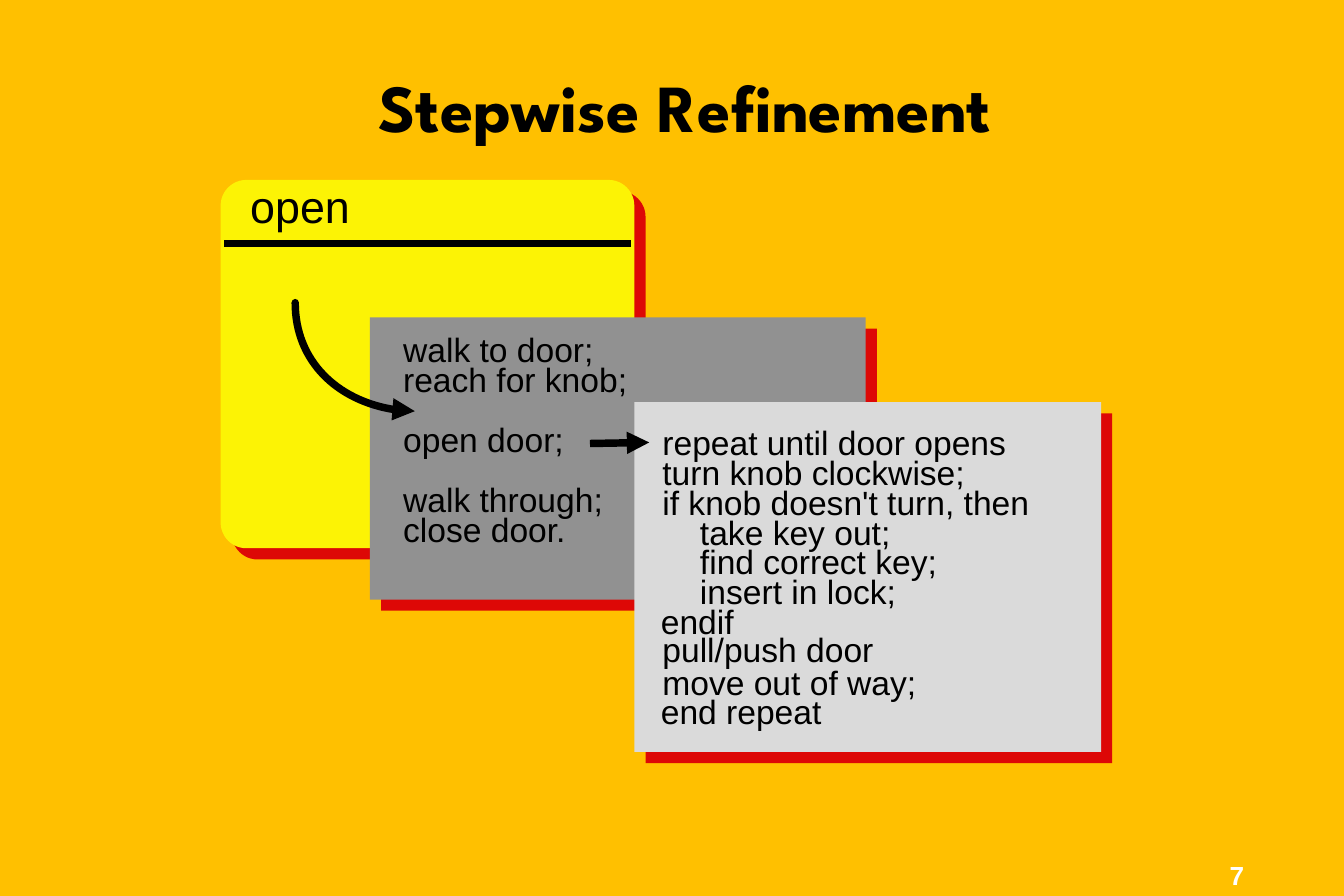
from lxml.etree import SubElement
from pptx import Presentation
from pptx.dml.color import RGBColor
from pptx.enum.shapes import MSO_CONNECTOR, MSO_SHAPE
from pptx.enum.text import MSO_ANCHOR, MSO_AUTO_SIZE, PP_ALIGN
from pptx.oxml.ns import qn
from pptx.util import Cm, Pt

COLORS = {
    "page": "FFC000", "yellow": "FCF305", "gray": "919191", "light": "DADADA",
    "shadow": "DD0806", "ink": "000000", "white": "FFFFFF",
}
PITCH = 0.565  # distance between code lines, cm


def color(name):
    return RGBColor.from_string(COLORS[name])


class Board:
    font = "Arial"
    stroke = Pt(4)

    def __init__(self, slide):
        self.slide = slide
        self.shapes = slide.shapes
        fill = slide.background.fill
        fill.solid()
        fill.fore_color.rgb = color("page")

    def card(self, kind, box, fill):
        """Add a borderless panel with a hard shadow to the lower right."""
        card = self.shapes.add_shape(kind, *map(Cm, box))
        card.fill.solid()
        card.fill.fore_color.rgb = color(fill)
        card.line.fill.background()
        effects = SubElement(card._element.spPr, qn("a:effectLst"))
        shade = SubElement(effects, qn("a:outerShdw"), blurRad="0",
                           dist=str(Pt(8.5)), dir="2700000",
                           algn="ctr", rotWithShape="0")
        SubElement(shade, qn("a:srgbClr"), val=COLORS["shadow"])
        return card

    def text(self, box, words, size=18, ink="ink", font=None, bold=False,
             align=PP_ALIGN.LEFT, space=None, pad=(0.25, 0.13), indent=0,
             wrap=False, anchor=MSO_ANCHOR.TOP):
        frame = self.shapes.add_textbox(*map(Cm, box)).text_frame
        frame.margin_left = frame.margin_right = Cm(pad[0])
        frame.margin_top = frame.margin_bottom = Cm(pad[1])
        frame.word_wrap = wrap
        frame.auto_size = MSO_AUTO_SIZE.SHAPE_TO_FIT_TEXT
        frame.vertical_anchor = anchor
        frame.text = words
        for para in frame.paragraphs:
            para.alignment = align
            para.line_spacing = space
            para.font.name = font or self.font
            para.font.size = Pt(size)
            para.font.bold = bold
            para.font.color.rgb = color(ink)
            if indent:
                para._p.get_or_add_pPr().set("marL", str(Cm(indent)))

    def code(self, left, top, lines):
        """Set lines given as (row, width, words, indent) on an even pitch."""
        for row, width, words, indent in lines:
            self.text((left, top + row * PITCH, width, 1.7), words,
                      indent=indent)

    def ink(self, shape):
        shape.line.color.rgb = color("ink")
        shape.line.width = self.stroke
        return shape.line._get_or_add_ln()

    def line(self, start, end, arrow=False):
        rule = self.shapes.add_connector(
            MSO_CONNECTOR.STRAIGHT, *map(Cm, start + end))
        ln = self.ink(rule)
        if arrow:
            SubElement(ln, qn("a:tailEnd"), type="triangle")
        SubElement(rule._element.spPr, qn("a:effectLst"))

    def curve(self, start, end):
        """Draw a quarter-ellipse arrow that drops from start, then turns right."""
        pen = self.shapes.build_freeform(*map(Cm, end))
        pen.add_line_segments([tuple(map(Cm, start))], close=False)
        bow = pen.convert_to_shape()
        bow.shadow.inherit = False
        bow.fill.background()
        ln = self.ink(bow)
        ln.set("cap", "rnd")
        SubElement(ln, qn("a:headEnd"), type="triangle")
        wide, high = bow.width, bow.height
        trail = bow._element.spPr.find(".//" + qn("a:path"))
        trail.remove(trail.find(qn("a:lnTo")))
        bend = SubElement(trail, qn("a:cubicBezTo"))
        for x, y in ((0.44 * wide, high), (0, 0.54 * high), (0, 0)):
            SubElement(bend, qn("a:pt"), x=str(int(x)), y=str(int(y)))


def main():
    deck = Presentation()
    deck.slide_width, deck.slide_height = Cm(25.4), Cm(16.93)
    board = Board(deck.slides.add_slide(deck.slide_layouts[6]))

    board.text((23.06, 16.23, 2.74, 0.69), "7", size=14, ink="white",
               bold=True, space=0.9, pad=(0.18, 0.08))
    board.text((6.32, 1.35, 13.25, 1.5), "Stepwise Refinement", size=36,
               font="League Spartan", bold=True, align=PP_ALIGN.CENTER,
               space=0.88, pad=(0.18, 0.08), wrap=True,
               anchor=MSO_ANCHOR.MIDDLE)

    panel = board.card(MSO_SHAPE.ROUNDED_RECTANGLE,
                       (4.17, 3.4, 7.82, 6.96), "yellow")
    panel.adjustments[0] = 0.07
    board.line((4.24, 4.6), (11.92, 4.6))
    board.text((4.48, 3.25, 2.45, 1.27), "open", size=24)

    board.card(MSO_SHAPE.RECTANGLE, (6.99, 6, 9.37, 5.33), "gray")
    board.code(7.37, 6.09, [
        (0, 4.2, "walk to door;", 0),
        (1, 4.85, "reach for knob;", 0),
        (3, 3.65, "open door;", 0),
        (5, 4.4, "walk through;", 0),
        (6, 3.7, "close door.", 0),
    ])

    board.card(MSO_SHAPE.RECTANGLE, (11.99, 7.6, 8.82, 6.61), "light")
    board.code(12.27, 7.84, [
        (0, 7.1, "repeat until door opens", 0),
        (1, 6.3, "turn knob clockwise;", 0),
        (2, 7.55, "if knob doesn't turn, then", 0),
        (3, 4.9, "take key out;", 0.71),
        (4, 5.8, "find correct key;", 0.71),
        (5, 5.05, "insert in lock;", 0.71),
    ])
    board.code(12.24, 7.84, [
        (6, 2, "endif", 0),
        (9, 3.65, "end repeat", 0),
    ])
    board.text((12.27, 11.91, 5.4, 2.16),
               "pull/push door\nmove out of way;", space=0.8)

    board.line((11.15, 8.38), (12.27, 8.36), arrow=True)
    board.curve((5.58, 5.72), (7.84, 7.77))

    deck.save("out.pptx")


if __name__ == "__main__":
    main()
